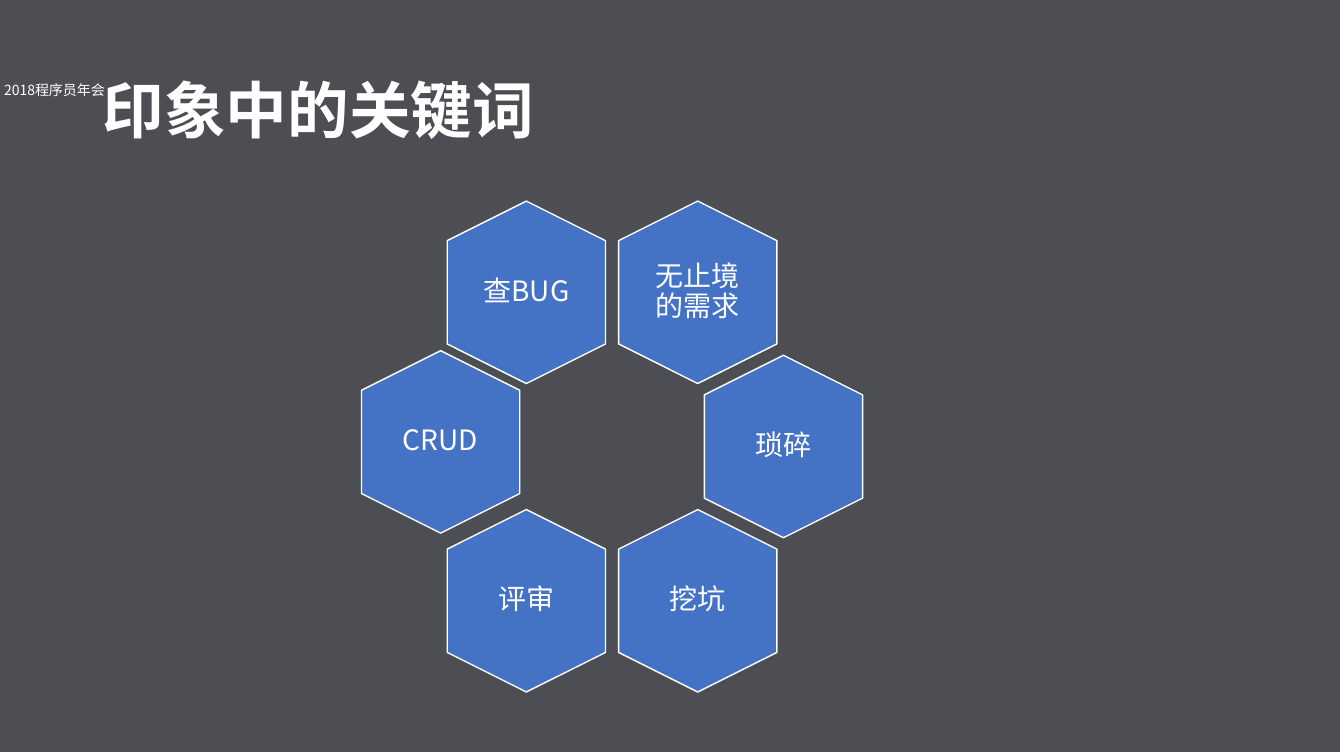
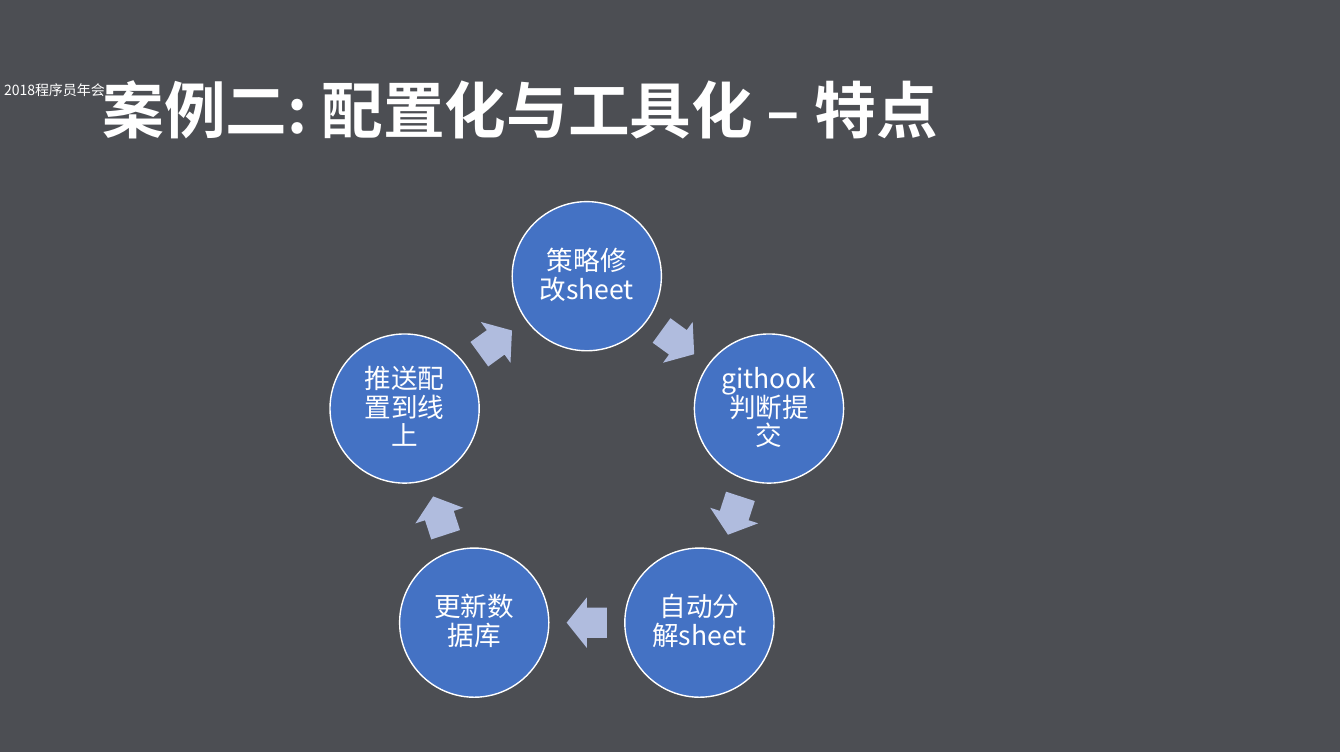
"""Two dark slides: a ring of keyword hexagons and a five-step cycle."""
import math

import pptx
import pptx.dml.color
import pptx.enum.shapes
import pptx.enum.text
import pptx.oxml.ns
import pptx.util
from lxml import etree

Inches, Pt = pptx.util.Inches, pptx.util.Pt
RGBColor = pptx.dml.color.RGBColor
SHAPES = pptx.enum.shapes.MSO_SHAPE
ALIGN, ANCHOR = pptx.enum.text.PP_ALIGN, pptx.enum.text.MSO_ANCHOR
qn = pptx.oxml.ns.qn

WHITE = RGBColor(0xFF, 0xFF, 0xFF)
NIGHT = RGBColor(0x01, 0x04, 0x0B)
BLUE = RGBColor(0x44, 0x72, 0xC4)
PALE_BLUE = RGBColor(0xB0, 0xBC, 0xDE)
FONT = "Noto Sans CJK SC"
WIDTH, HEIGHT = 13.33, 7.5

EVENT = "2018程序员年会"
KEYWORDS_TITLE = "印象中的关键词"
KEYWORDS = [
    ("无止境的需求", 1, 0),
    ("查BUG", 0, 0),
    ("CRUD", -0.5, 0.97),
    ("琐碎", 1.5, 1),
    ("挖坑", 1, 2),
    ("评审", 0, 2),
]
CYCLE_TITLE = "案例二: 配置化与工具化 – 特点"
STEPS = ["策略修改sheet", "githook判断提交", "自动分解sheet", "更新数据库", "推送配置到线上"]

HEX_ORIGIN, HEX_PITCH = (5.22, 2.9), (1.7, 1.53)
HEX_SIZE, WORD_SIZE = (1.81, 1.57), (1.08, 1.24)
RING_CENTER, RING_RADIUS = (5.82, 4.64), 1.9
STEP_SIZE, ARROW_SIZE = (1.48, 1.48), (0.4, 0.5)


def box_at(center, size):
    """Turn a center and a size into left, top, width and height."""
    return [Inches(v) for v in (center[0] - size[0] / 2, center[1] - size[1] / 2, *size)]


def add_form(slide, kind, box, fill, outline=None, turn=0):
    """Add a flat preset shape."""
    form = slide.shapes.add_shape(kind, *box)
    form.shadow.inherit = False
    form.fill.solid()
    form.fill.fore_color.rgb = fill
    if outline is None:
        form.line.fill.background()
    else:
        form.line.color.rgb = outline
        form.line.width = Pt(1)
    form.rotation = turn
    return form


def write(holder, wording, size, align=ALIGN.CENTER, anchor=ANCHOR.MIDDLE,
          inset=None, spacing=0.9, bold=False):
    """Put one white paragraph into a shape or text box."""
    frame = holder.text_frame
    frame.word_wrap = True
    frame.vertical_anchor = anchor
    if inset is not None:
        frame.margin_left = frame.margin_right = Inches(inset)
        frame.margin_top = frame.margin_bottom = Inches(inset)
    paragraph = frame.paragraphs[0]
    paragraph.text = wording
    paragraph.alignment = align
    paragraph.line_spacing = spacing
    font = paragraph.font
    font.size, font.bold, font.name = Pt(size), bold, FONT
    font.color.rgb = WHITE
    defaults = paragraph._p.pPr.find(qn("a:defRPr"))
    etree.SubElement(defaults, qn("a:ea")).set("typeface", FONT)


def add_page(deck, title):
    """Add a slide with the shared backdrop, event tag and title."""
    slide = deck.slides.add_slide(deck.slide_layouts[6])
    backdrop = add_form(slide, SHAPES.RECTANGLE,
                        [Inches(v) for v in (-0.04, -0.04, WIDTH, HEIGHT)], NIGHT)
    shade = backdrop._element.spPr.find(qn("a:solidFill"))[0]
    etree.SubElement(shade, qn("a:alpha")).set("val", "70000")
    tag = slide.shapes.add_textbox(*[Inches(v) for v in (-0.07, 0.76, 1.22, 0.27)])
    write(tag, EVENT, 10, anchor=ANCHOR.TOP, spacing=1.0)
    heading = slide.shapes.add_textbox(*[Inches(v) for v in (0.92, 0.4, 11.5, 1.45)])
    write(heading, title, 44, align=ALIGN.LEFT, bold=True)
    return slide


def add_keywords(deck):
    """Draw the keyword hexagons on a staggered grid."""
    slide = add_page(deck, KEYWORDS_TITLE)
    for word, column, row in KEYWORDS:
        center = (HEX_ORIGIN[0] + column * HEX_PITCH[0], HEX_ORIGIN[1] + row * HEX_PITCH[1])
        cell = add_form(slide, SHAPES.HEXAGON, box_at(center, HEX_SIZE), BLUE, WHITE, 90)
        cell.adjustments[0] = 0.25
        cell.adjustments[1] = 1.1547
        write(slide.shapes.add_textbox(*box_at(center, WORD_SIZE)), word, 20, inset=0)


def ring_point(degrees, radius):
    """Return the point on the cycle, clockwise from the top."""
    angle = math.radians(degrees)
    return (RING_CENTER[0] + radius * math.sin(angle), RING_CENTER[1] - radius * math.cos(angle))


def add_cycle(deck):
    """Draw the steps around a ring with an arrow after each."""
    slide = add_page(deck, CYCLE_TITLE)
    turn = 360 / len(STEPS)
    arrow_radius = RING_RADIUS * math.cos(math.radians(turn / 2))
    for index, step in enumerate(STEPS):
        degrees = index * turn
        disc = add_form(slide, SHAPES.OVAL,
                        box_at(ring_point(degrees, RING_RADIUS), STEP_SIZE), BLUE, WHITE)
        write(disc, step, 19, inset=0.03)
        halfway = degrees + turn / 2
        arrow = add_form(slide, SHAPES.RIGHT_ARROW,
                         box_at(ring_point(halfway, arrow_radius), ARROW_SIZE),
                         PALE_BLUE, turn=halfway)
        arrow.adjustments[0] = 0.6
        arrow.adjustments[1] = 0.5


def main():
    deck = pptx.Presentation()
    deck.slide_width, deck.slide_height = Inches(WIDTH), Inches(HEIGHT)
    add_keywords(deck)
    add_cycle(deck)
    deck.save("out.pptx")


if __name__ == "__main__":
    main()
